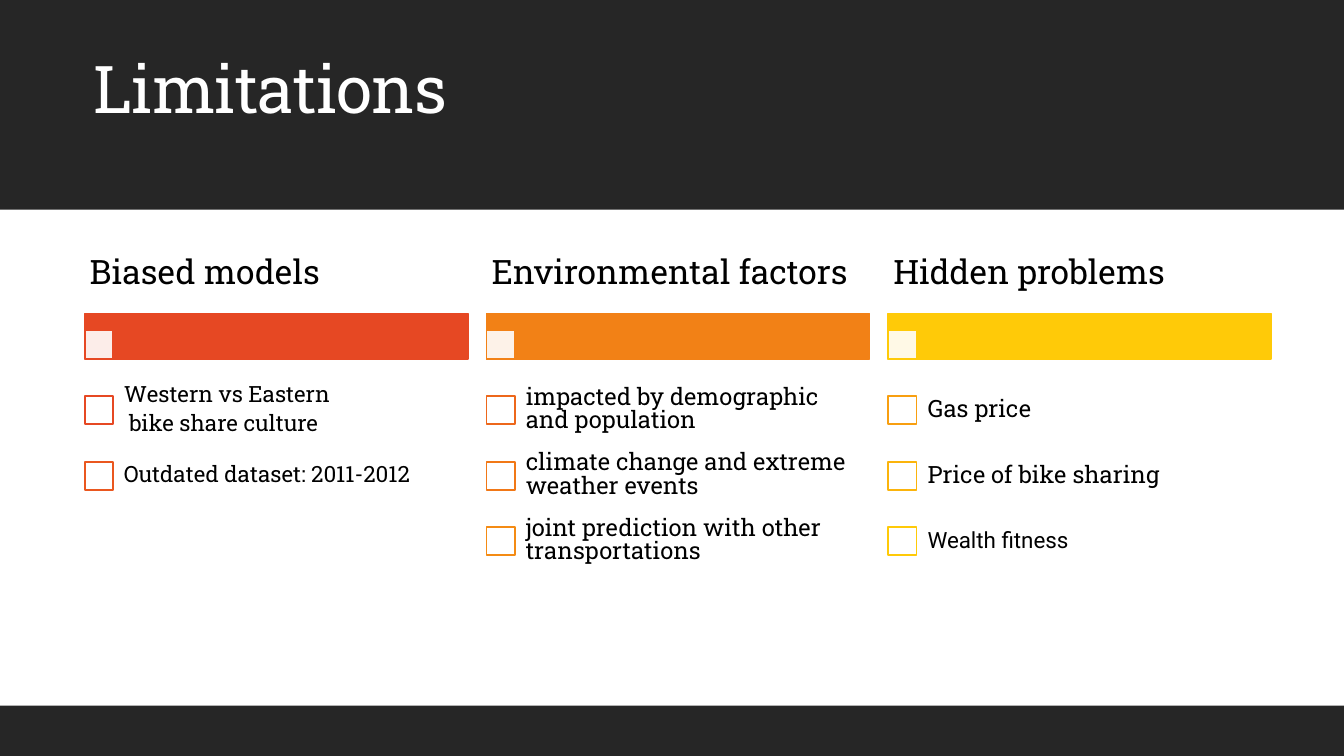
import pptx
import pptx.util
import pptx.dml.color
import pptx.enum.shapes
import pptx.enum.text
import pptx.oxml.ns
from lxml import etree

Inches = pptx.util.Inches
Pt = pptx.util.Pt
RGBColor = pptx.dml.color.RGBColor
MSO_ANCHOR = pptx.enum.text.MSO_ANCHOR

WHITE = RGBColor(0xFF, 0xFF, 0xFF)
BLACK = RGBColor(0, 0, 0)
CHARCOAL = RGBColor(0x26, 0x26, 0x26)
RED = RGBColor(0xE6, 0x48, 0x23)
RED_ORANGE = RGBColor(0xEA, 0x57, 0x1F)
DEEP_ORANGE = RGBColor(0xED, 0x67, 0x1B)
MID_ORANGE = RGBColor(0xF1, 0x78, 0x17)
ORANGE = RGBColor(0xF2, 0x81, 0x16)
LIGHT_ORANGE = RGBColor(0xF4, 0x8B, 0x14)
AMBER = RGBColor(0xF8, 0x9F, 0x10)
GOLD = RGBColor(0xFB, 0xB4, 0x0C)
YELLOW = RGBColor(0xFF, 0xCA, 0x08)

SLAB = "Roboto Slab"
SANS = "Roboto"
SLIDE_WIDTH = 13.33
FIRST_LEFT = 0.84
COLUMN_PITCH = (8.81 - FIRST_LEFT) / 2
COLUMN_WIDTH = 3.8
BOX_SIDE = 0.28
TEXT_OFFSET = 0.27
FIRST_ITEM_TOP = 3.74
ITEM_HEIGHT = 0.65

COLUMNS = [
    ("Biased models", RED, [
        (["Western vs Eastern", "bike share culture"], RED, {"size": 16, "last_indent": 0.05}),
        (["Outdated dataset: 2011-2012"], RED_ORANGE, {"size": 16}),
    ]),
    ("Environmental factors", ORANGE, [
        (["impacted by demographic and population"], DEEP_ORANGE, {"spacing": 0.83}),
        (["climate change and extreme weather events"], MID_ORANGE, {"spacing": 0.83}),
        (["joint prediction with other transportations"], LIGHT_ORANGE, {"spacing": 0.83}),
    ]),
    ("Hidden problems", YELLOW, [
        (["Gas price"], AMBER, {}),
        (["Price of bike sharing"], GOLD, {}),
        (["Wealth fitness"], YELLOW, {"size": 16, "font": SANS}),
    ]),
]


def add_rectangle(slide, left, top, width, height, fill, line=None, opacity=None):
    rectangle = slide.shapes.add_shape(
        pptx.enum.shapes.MSO_SHAPE.RECTANGLE,
        Inches(left), Inches(top), Inches(width), Inches(height))
    rectangle.shadow.inherit = False
    rectangle.fill.solid()
    rectangle.fill.fore_color.rgb = fill
    if line is None:
        rectangle.line.fill.background()
    else:
        rectangle.line.color.rgb = line
        rectangle.line.width = Pt(1.25)
    if opacity is not None:
        qn = pptx.oxml.ns.qn
        color = rectangle.fill._xPr.find(qn("a:solidFill")).find(qn("a:srgbClr"))
        etree.SubElement(color, qn("a:alpha"), val=str(opacity * 1000))


def add_text(slide, lines, left, top, width, height, size=17, font=SLAB, color=BLACK,
             spacing=0.9, inset_x=0.12, inset_y=0.12, anchor=MSO_ANCHOR.MIDDLE,
             last_indent=0, tracking=None):
    box = slide.shapes.add_textbox(Inches(left), Inches(top), Inches(width), Inches(height))
    frame = box.text_frame
    frame.word_wrap = True
    frame.vertical_anchor = anchor
    frame.margin_left = frame.margin_right = Inches(inset_x)
    frame.margin_top = frame.margin_bottom = Inches(inset_y)
    frame.text = "\n".join(lines)
    for paragraph in frame.paragraphs:
        paragraph.line_spacing = spacing
        run = paragraph.runs[0]
        run.font.size = Pt(size)
        run.font.name = font
        run.font.color.rgb = color
        if tracking is not None:
            run.font._element.set("spc", str(int(tracking * 100)))
    for paragraph in frame.paragraphs[:-1]:
        paragraph.space_after = Pt(4)
    if last_indent:
        properties = frame.paragraphs[-1]._p.get_or_add_pPr()
        properties.set("marL", str(Inches(last_indent)))


def add_column(slide, left, heading, accent, items):
    add_rectangle(slide, left, 3.11, COLUMN_WIDTH, 0.45, accent, line=accent)
    add_rectangle(slide, left, 3.28, BOX_SIDE, BOX_SIDE, WHITE, line=accent, opacity=90)
    add_text(slide, [heading], left, 2.31, COLUMN_WIDTH, 0.8, size=24,
             inset_x=0.05, inset_y=0.03)
    for row, (lines, outline, text_format) in enumerate(items):
        top = FIRST_ITEM_TOP + row * ITEM_HEIGHT
        add_rectangle(slide, left, top + 0.19, BOX_SIDE, BOX_SIDE, WHITE, line=outline)
        add_text(slide, lines, left + TEXT_OFFSET, top, COLUMN_WIDTH - TEXT_OFFSET,
                 ITEM_HEIGHT, **text_format)


def main():
    deck = pptx.Presentation()
    deck.slide_width = Inches(SLIDE_WIDTH)
    deck.slide_height = Inches(7.5)
    slide = deck.slides.add_slide(deck.slide_layouts[6])
    add_rectangle(slide, 0, 0, SLIDE_WIDTH, 2.08, CHARCOAL)
    add_text(slide, ["Limitations"], 0.83, 0.54, 11, 1.59, size=47, color=WHITE,
             inset_x=0.1, inset_y=0.02, anchor=MSO_ANCHOR.TOP, tracking=-0.5)
    add_rectangle(slide, 0, 7, SLIDE_WIDTH, 0.5, CHARCOAL)
    for index, (heading, accent, items) in enumerate(COLUMNS):
        add_column(slide, FIRST_LEFT + index * COLUMN_PITCH, heading, accent, items)
    deck.save("out.pptx")


if __name__ == "__main__":
    main()
